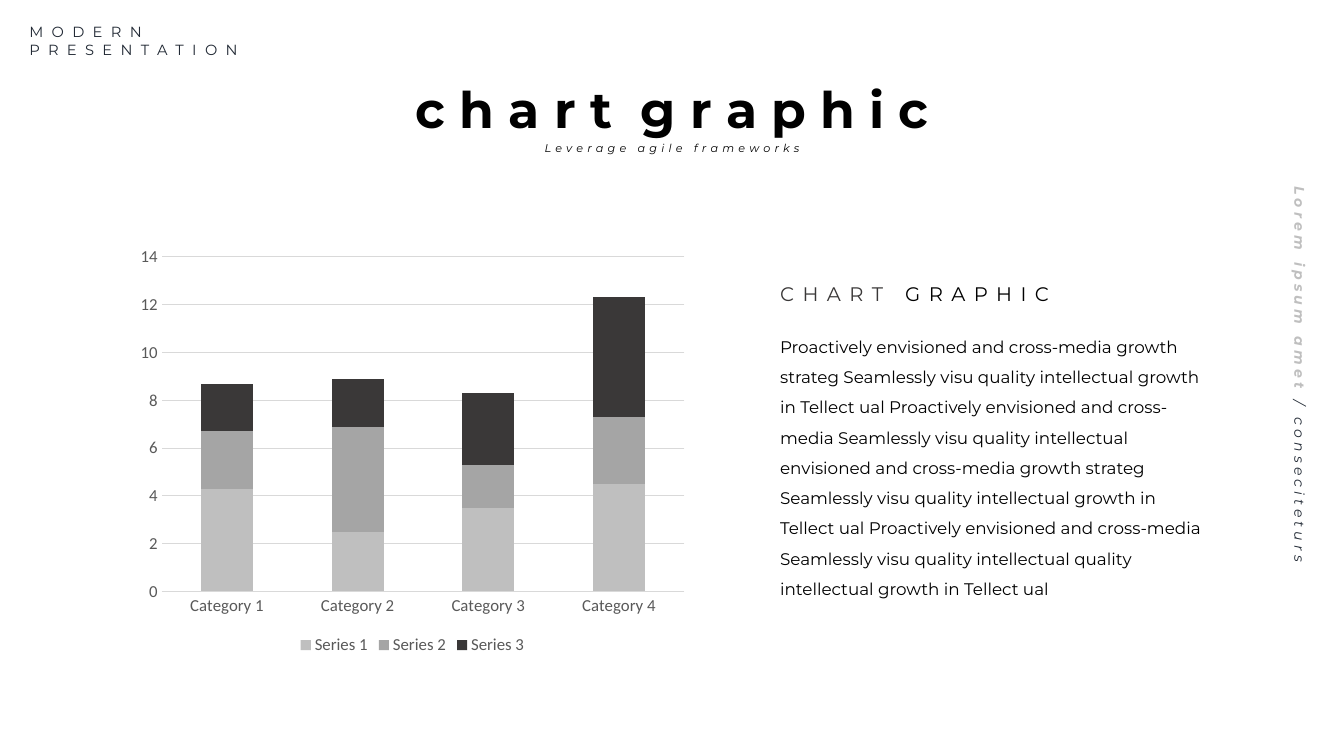
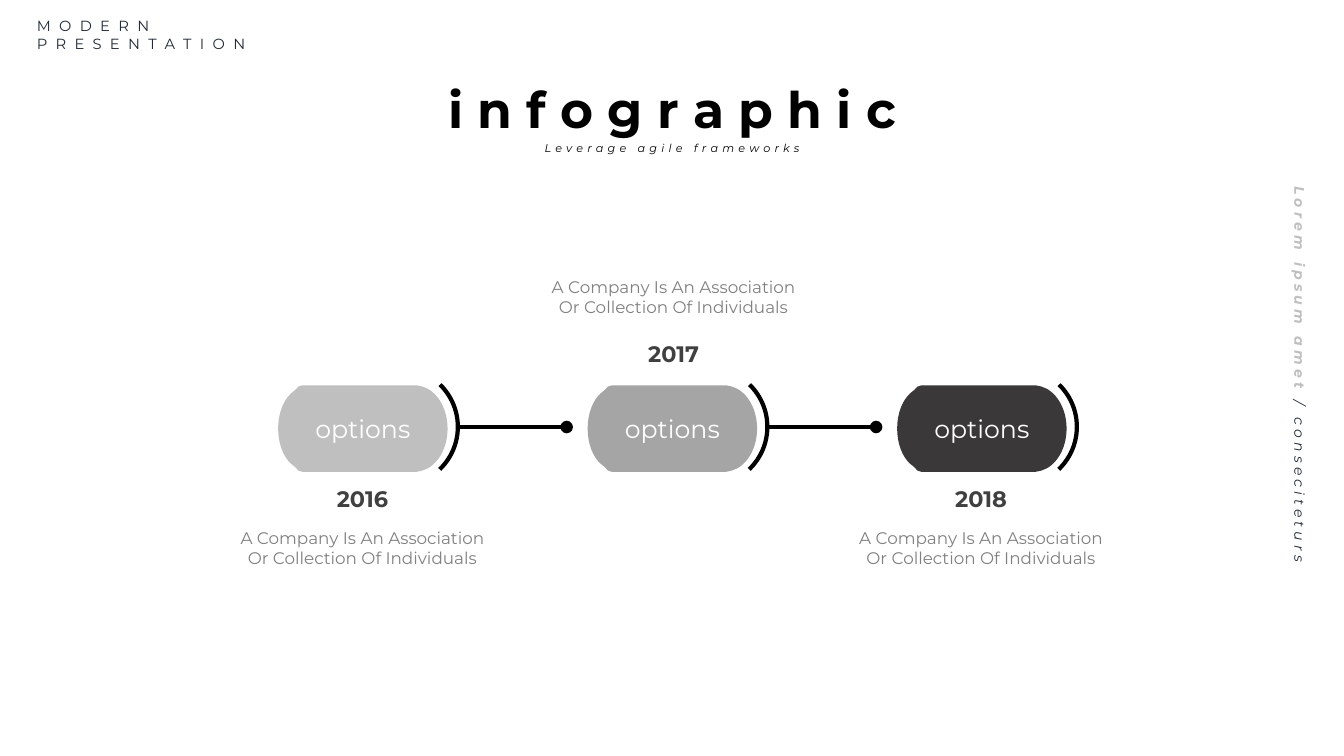
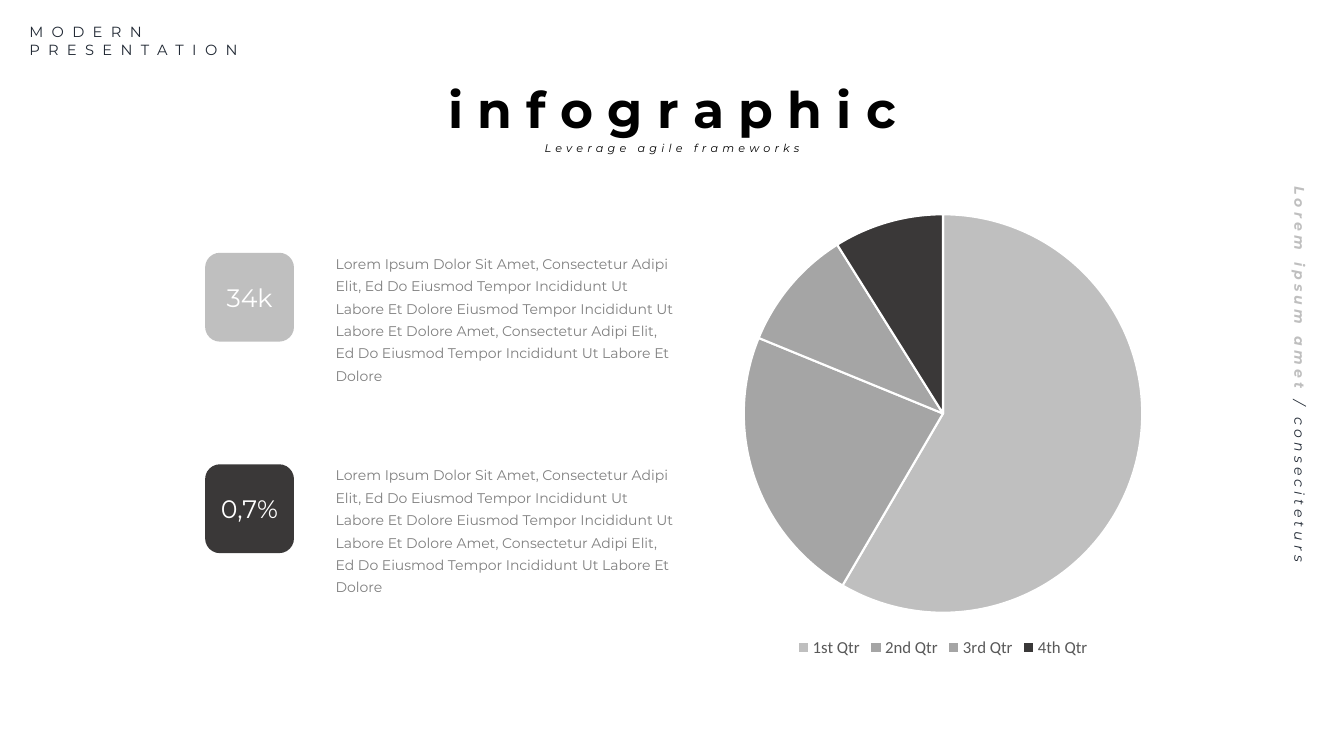
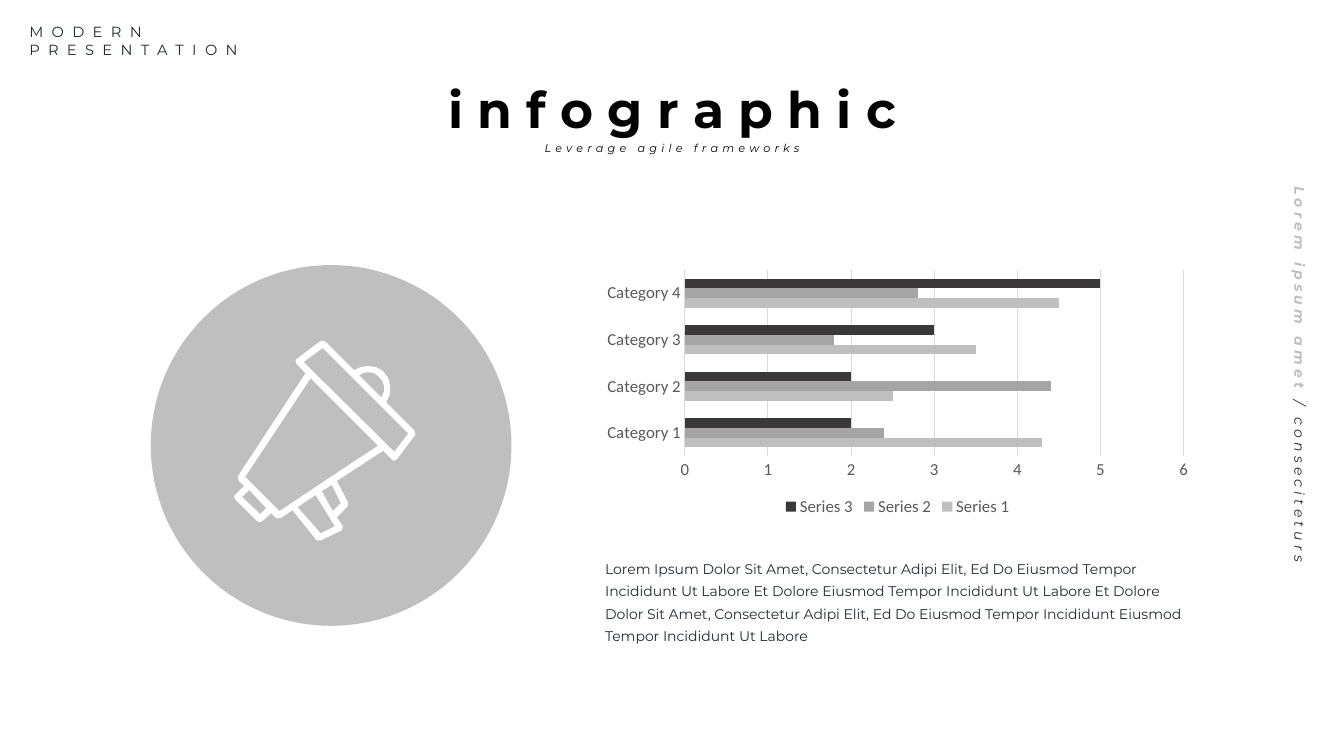
import lxml.etree
import pptx
import pptx.chart.data
import pptx.dml.color
import pptx.enum.chart
import pptx.enum.shapes
import pptx.enum.text
import pptx.oxml.ns
import pptx.util

Cm = pptx.util.Cm
Pt = pptx.util.Pt
qn = pptx.oxml.ns.qn
SHAPES = pptx.enum.shapes.MSO_SHAPE
CHARTS = pptx.enum.chart.XL_CHART_TYPE
LEFT = pptx.enum.text.PP_ALIGN.LEFT
CENTER = pptx.enum.text.PP_ALIGN.CENTER

BLACK, WHITE, NAVY = "000000", "FFFFFF", "222A35"
LIGHT, MID, DARK = "BFBFBF", "A5A5A5", "3A3838"
GREY, YEAR_GREY, AXIS_GREY, GRID_GREY = "808080", "404040", "595959", "D9D9D9"
SHADES = [LIGHT, MID, DARK]


def rgb(code):
    return pptx.dml.color.RGBColor.from_string(code)


def write(shape, parts, size, align=LEFT, leading=None, tracking=0,
          bold=False, italic=False, inset=True, wrap=True):
    frame = shape.text_frame
    frame.word_wrap = wrap
    if not inset:
        frame.margin_left = frame.margin_right = frame.margin_top = frame.margin_bottom = 0
    frame.text = parts[0][0]
    for text, hue in parts[1:]:
        frame.paragraphs[-1].add_run().text = text
    for paragraph in frame.paragraphs:
        paragraph.alignment = align
        paragraph.line_spacing = leading
        for position, run in enumerate(paragraph.runs):
            run.font.name = "Montserrat"
            run.font.size = Pt(size)
            run.font.bold = bold and position == 0
            run.font.italic = italic
            run.font.color.rgb = rgb(parts[position][1])
            if tracking:
                run._r.get_or_add_rPr().set("spc", str(tracking * 100))


deck = pptx.Presentation()
deck.slide_width, deck.slide_height = Cm(33.87), Cm(19.05)

slides = []
for title, brand_left, brand_top in [
    ("c h a r t  g r a p h i c", 0.74, 0.58),
    ("i n f o g r a p h i c", 0.93, 0.43),
    ("i n f o g r a p h i c", 0.74, 0.58),
    ("i n f o g r a p h i c", 0.74, 0.58),
]:
    slide = deck.slides.add_slide(deck.slide_layouts[6])
    slides.append(slide)
    brand = slide.shapes.add_textbox(Cm(brand_left), Cm(brand_top), Cm(7.29), Cm(0.89))
    write(brand, [("MODERN\nPRESENTATION", NAVY)], 10.5, tracking=6, inset=False)
    side_note = slide.shapes.add_textbox(Cm(23.69), Cm(9.17), Cm(18.19), Cm(0.71))
    side_note.rotation = 90
    write(side_note, [("Lorem ipsum amet ", LIGHT), ("/ conseciteturs ", NAVY)], 10,
          CENTER, 1.1, tracking=3, bold=True, italic=True)
    subtitle = slide.shapes.add_textbox(Cm(12.37), Cm(3.39), Cm(9.14), Cm(0.46))
    write(subtitle, [("Leverage agile frameworks", BLACK)], 8, CENTER, 1.5,
          tracking=3, italic=True, inset=False)
    headline = slide.shapes.add_textbox(Cm(8.75), Cm(1.85), Cm(16.38), Cm(1.8))
    write(headline, [(title, BLACK)], 36, CENTER, bold=True)

chart_slide, timeline_slide, share_slide, campaign_slide = slides

series_data = pptx.chart.data.CategoryChartData()
series_data.categories = ["Category 1", "Category 2", "Category 3", "Category 4"]
series_data.add_series("Series 1", [4.3, 2.5, 3.5, 4.5])
series_data.add_series("Series 2", [2.4, 4.4, 1.8, 2.8])
series_data.add_series("Series 3", [2, 2, 3, 5])
quarter_data = pptx.chart.data.CategoryChartData()
quarter_data.categories = ["1st Qtr", "2nd Qtr", "3rd Qtr", "4th Qtr"]
quarter_data.add_series("Series 1", [59, 23, 10, 9])

charts = []
for slide, kind, box, data in [
    (chart_slide, CHARTS.COLUMN_STACKED, (3.26, 6.01, 14.27, 10.6), series_data),
    (share_slide, CHARTS.PIE, (15.04, 5.05, 17.45, 11.63), quarter_data),
    (campaign_slide, CHARTS.BAR_CLUSTERED, (15, 6.67, 15.24, 6.45), series_data),
]:
    chart = slide.shapes.add_chart(kind, *[Cm(length) for length in box], data).chart
    charts.append(chart)
    chart.has_title = False
    chart.font.name = "Calibri"
    chart.font.size = Pt(12)
    chart.font.color.rgb = rgb(AXIS_GREY)
    chart.has_legend = True
    chart.legend.position = pptx.enum.chart.XL_LEGEND_POSITION.BOTTOM
    chart.legend.include_in_layout = False

stacked, pie, clustered = charts
for chart, gap, overlap, top_value, step in [
    (stacked, 150, 100, 14, 2),
    (clustered, 182, 0, 6, 1),
]:
    plot = chart.plots[0]
    plot.vary_by_categories = False
    plot.gap_width = gap
    plot.overlap = overlap
    for series, shade in zip(plot.series, SHADES):
        series.format.fill.solid()
        series.format.fill.fore_color.rgb = rgb(shade)
    values, categories = chart.value_axis, chart.category_axis
    values.minimum_scale, values.maximum_scale, values.major_unit = 0, top_value, step
    values.format.line.fill.background()
    for axis in (values, categories):
        axis.major_tick_mark = pptx.enum.chart.XL_TICK_MARK.NONE
        axis.minor_tick_mark = pptx.enum.chart.XL_TICK_MARK.NONE
    for rule in (values.major_gridlines.format.line, categories.format.line):
        rule.color.rgb = rgb(GRID_GREY)
        rule.width = Pt(0.75)

pie.plots[0].vary_by_categories = True
for quarter, shade in enumerate([LIGHT, MID, MID, DARK]):
    slice_format = pie.plots[0].series[0].points[quarter].format
    slice_format.fill.solid()
    slice_format.fill.fore_color.rgb = rgb(shade)
    slice_format.line.color.rgb = rgb(WHITE)
    slice_format.line.width = Pt(1.5)

chart_heading = chart_slide.shapes.add_textbox(Cm(19.66), Cm(6.81), Cm(9.42), Cm(0.79))
write(chart_heading, [("CHART ", DARK), ("GRAPHIC", BLACK)], 14, leading=1.5,
      tracking=6, inset=False)
chart_story = chart_slide.shapes.add_textbox(Cm(19.66), Cm(8.23), Cm(10.67), Cm(6.83))
write(chart_story, [(
    "Proactively envisioned and cross-media growth strateg Seamlessly visu quality "
    "intellectual growth in Tellect ual Proactively envisioned and cross-media "
    "Seamlessly visu quality intellectual envisioned and cross-media growth strateg "
    "Seamlessly visu quality intellectual growth in Tellect ual Proactively envisioned "
    "and cross-media Seamlessly visu quality intellectual quality intellectual growth "
    "in Tellect ual", BLACK)], 12, leading=1.5, inset=False)

upper_edge = [
    (0, 109), (0, 71), (13, 38), (33, 20), (43, 12), (48, 5), (53, 0), (61, 0),
    (349, 0), (363, 3), (399, 13), (427, 56), (427, 109)]
lower_edge = [(x, 218 - y) for x, y in reversed(upper_edge[:-1])]
curve_starts = [0, 4, 9, 12, 17, 21]

for step, (year, shade, year_left, year_top, caption_left, caption_top) in enumerate([
    ("2016", LIGHT, 8.21, 12.09, 5.64, 13.18),
    ("2017", MID, 16.05, 8.45, 13.48, 6.85),
    ("2018", DARK, 23.8, 12.09, 21.23, 13.18),
]):
    shift = 7.8 * step
    if step < 2:
        link = timeline_slide.shapes.add_connector(
            pptx.enum.shapes.MSO_CONNECTOR.STRAIGHT,
            Cm(11.59 + shift), Cm(10.76), Cm(14.28 + shift), Cm(10.76))
        link.line.color.rgb = rgb(BLACK)
        link.line.width = Pt(3)
        lxml.etree.SubElement(link.line._get_or_add_ln(), qn("a:tailEnd"), type="oval")
        lxml.etree.SubElement(link._element.spPr, qn("a:effectLst"))

    bracket = timeline_slide.shapes.add_shape(
        SHAPES.ARC, Cm(8.57 + shift), Cm(9.27), Cm(2.97), Cm(2.97))
    bracket.adjustments[0] = 26.57
    bracket.adjustments[1] = 81.76
    bracket.rotation = 270
    bracket.shadow.inherit = False
    bracket.fill.background()
    bracket.line.color.rgb = rgb(BLACK)
    bracket.line.width = Pt(3)

    builder = timeline_slide.shapes.build_freeform(*upper_edge[0], scale=Cm(0.01))
    builder.add_line_segments(upper_edge[1:] + lower_edge)
    capsule = builder.convert_to_shape(Cm(7.01 + shift), Cm(9.71))
    segments = list(capsule._element.iter(qn("a:lnTo")))
    for start in curve_starts:
        curve = segments[start].makeelement(qn("a:cubicBezTo"))
        segments[start].addprevious(curve)
        for segment in segments[start:start + 3]:
            curve.append(segment[0])
            segment.getparent().remove(segment)
    capsule.shadow.inherit = False
    capsule.fill.solid()
    capsule.fill.fore_color.rgb = rgb(shade)
    capsule.line.fill.background()
    write(capsule, [("options", WHITE)], 18, CENTER)

    year_label = timeline_slide.shapes.add_textbox(
        Cm(year_left), Cm(year_top), Cm(1.85), Cm(0.94))
    write(year_label, [(year, YEAR_GREY)], 16, CENTER, bold=True, wrap=False)
    caption = timeline_slide.shapes.add_textbox(
        Cm(caption_left), Cm(caption_top), Cm(6.99), Cm(1.27))
    write(caption, [("A Company Is An Association Or Collection Of Individuals", GREY)],
          12, CENTER)

for row, (figure, shade) in enumerate([("34k", LIGHT), ("0,7%", DARK)]):
    drop = 5.33 * row
    badge = share_slide.shapes.add_shape(
        SHAPES.ROUNDED_RECTANGLE, Cm(5.17), Cm(6.37 + drop), Cm(2.24), Cm(2.24))
    badge.shadow.inherit = False
    badge.fill.solid()
    badge.fill.fore_color.rgb = rgb(shade)
    badge.line.fill.background()
    write(badge, [(figure, WHITE)], 18, CENTER)
    figure_note = share_slide.shapes.add_textbox(
        Cm(8.21), Cm(6.17 + drop), Cm(9.07), Cm(3.61))
    write(figure_note, [(
        "Lorem Ipsum Dolor Sit Amet, Consectetur Adipi Elit, Ed Do Eiusmod Tempor "
        "Incididunt Ut Labore Et Dolore Eiusmod Tempor Incididunt Ut Labore Et Dolore "
        "Amet, Consectetur Adipi Elit, Ed Do Eiusmod Tempor Incididunt Ut Labore Et "
        "Dolore", GREY)], 10, leading=Pt(16))

disc = campaign_slide.shapes.add_shape(
    SHAPES.OVAL, Cm(3.8), Cm(6.68), Cm(9.09), Cm(9.09))
megaphone_outlines = [
    [(88, 0), (91, 1), (119, 29), (126, 26), (133, 25), (141, 26), (148, 30),
     (153, 37), (155, 45), (155, 52), (151, 61), (179, 89), (180, 93), (162, 117),
     (159, 119), (157, 118), (148, 109), (102, 139), (113, 160), (113, 164),
     (102, 175), (108, 184), (107, 188), (86, 198), (82, 198), (58, 168), (46, 176),
     (42, 176), (37, 171), (28, 179), (25, 180), (23, 179), (1, 157), (0, 154),
     (1, 153), (10, 144), (4, 138), (4, 134), (71, 32), (62, 23), (61, 20),
     (62, 18), (86, 0)],
    [(81, 153), (63, 165), (86, 191), (100, 184)],
    [(15, 148), (8, 155), (26, 172), (32, 166)],
    [(97, 143), (87, 149), (98, 169), (106, 161)],
    [(76, 37), (11, 135), (45, 169), (96, 135), (143, 104)],
    [(133, 31), (128, 32), (124, 34), (146, 56), (149, 50), (149, 45), (147, 39),
     (143, 35), (139, 32)],
    [(88, 7), (69, 21), (159, 110), (173, 92)],
]
body, *openings = megaphone_outlines
builder = campaign_slide.shapes.build_freeform(*body[0], scale=Cm(4.57) / 180)
builder.add_line_segments(body[1:])
for opening in openings:
    builder.move_to(*opening[0])
    builder.add_line_segments(opening[1:])
megaphone = builder.convert_to_shape(Cm(5.9), Cm(8.59))
for part, hue in [(disc, LIGHT), (megaphone, WHITE)]:
    part.shadow.inherit = False
    part.fill.solid()
    part.fill.fore_color.rgb = rgb(hue)
    part.line.fill.background()

campaign_note = campaign_slide.shapes.add_textbox(Cm(15), Cm(13.86), Cm(15.24), Cm(2.49))
write(campaign_note, [(
    "Lorem Ipsum Dolor Sit Amet, Consectetur Adipi Elit, Ed Do Eiusmod Tempor "
    "Incididunt Ut Labore Et Dolore Eiusmod Tempor Incididunt Ut Labore Et Dolore "
    "Dolor Sit Amet, Consectetur Adipi Elit, Ed Do Eiusmod Tempor Incididunt Eiusmod "
    "Tempor Incididunt Ut Labore", NAVY)], 10, leading=Pt(16))

deck.save("out.pptx")
